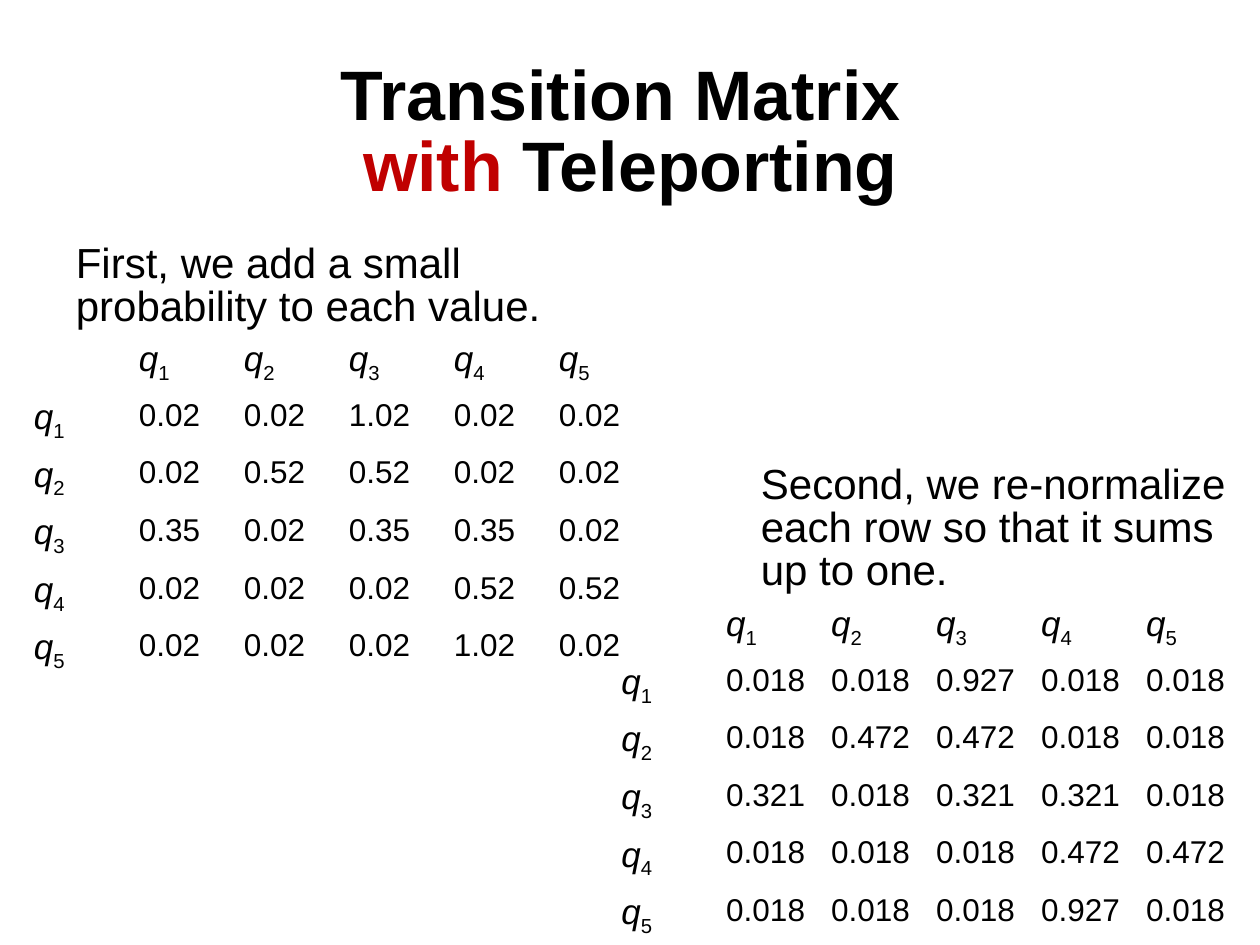
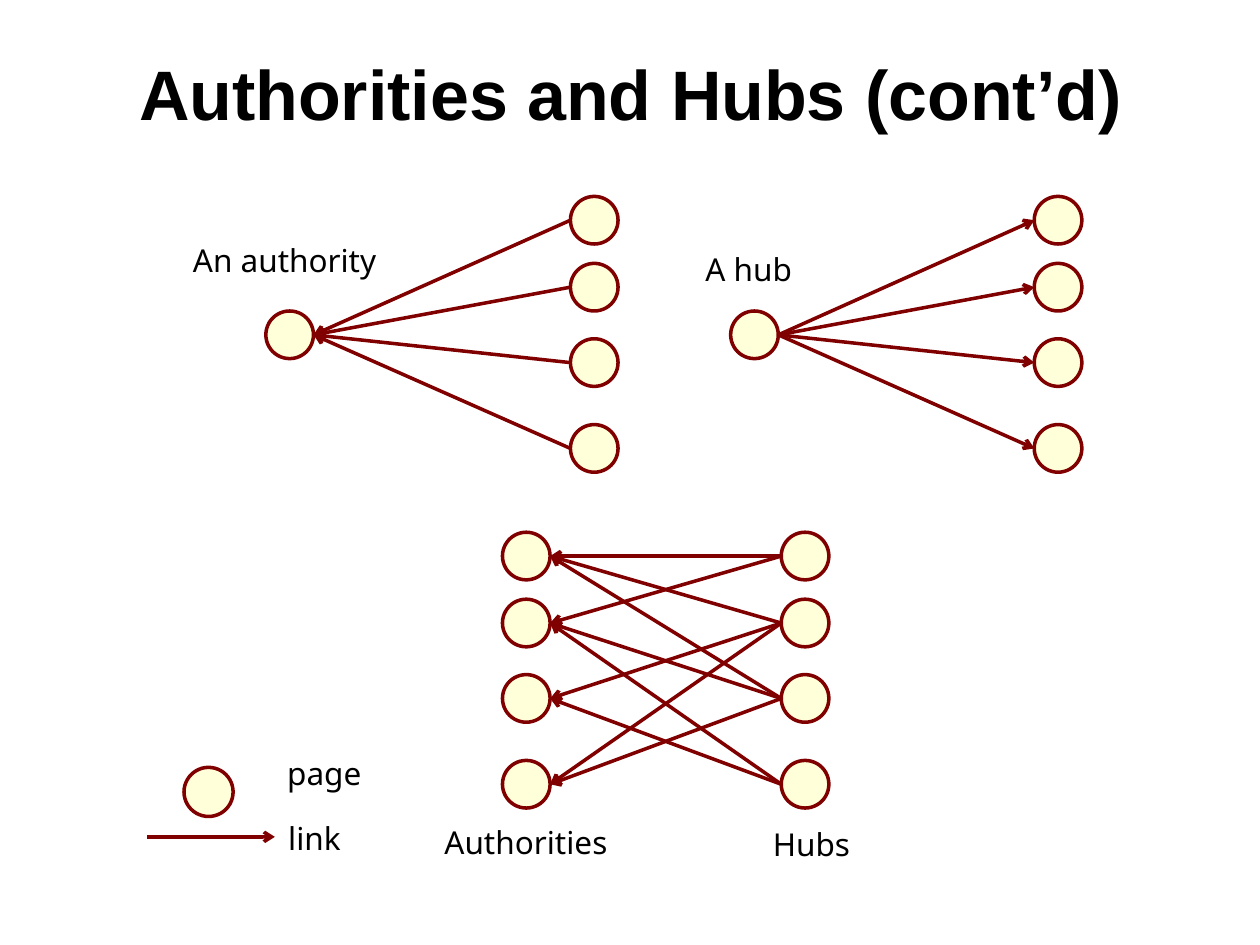
import pptx
import pptx.dml.color
import pptx.enum.shapes
import pptx.enum.text
import pptx.oxml.ns
import pptx.util
from lxml import etree

Cm = pptx.util.Cm
Pt = pptx.util.Pt
RGBColor = pptx.dml.color.RGBColor

BLACK = RGBColor(0x00, 0x00, 0x00)
RED = RGBColor(0xC0, 0x00, 0x00)
MAROON = RGBColor(0x80, 0x00, 0x00)
CREAM = RGBColor(0xFF, 0xFF, 0xD9)

TITLE = {"name": "Arial", "size": Pt(40), "bold": True}
NOTE = {"name": "Arial", "size": Pt(24)}
LABEL = {"name": "Noto Sans", "size": Pt(18)}
VALUE = {"name": "Arial", "size": Pt(18)}
STATE = {"name": "Arial", "size": Pt(20), "italic": True}
INDEX = {"name": "Arial", "size": Pt(20), "italic": False}
TIGHT = {"line_spacing": 0.85}
CENTRE = {"line_spacing": 0.85, "alignment": pptx.enum.text.PP_ALIGN.CENTER}
INSETS = ("margin_left", "margin_top", "margin_right", "margin_bottom")
PLAIN = "{2D5ABB26-0587-4C30-8999-92F81FD0307C}"

SIZE = 0.96
TOPS = (3.96, 5.31, 6.83, 8.56)
SOLO = 6.27
DROP = 6.77
LINKS = ((0, 1), (0, 2, 3), (0, 1, 3), (1, 2))

RAISED = (
    "0.02 0.02 1.02 0.02 0.02",
    "0.02 0.52 0.52 0.02 0.02",
    "0.35 0.02 0.35 0.35 0.02",
    "0.02 0.02 0.02 0.52 0.52",
    "0.02 0.02 0.02 1.02 0.02",
)
SCALED = (
    "0.018 0.018 0.927 0.018 0.018",
    "0.018 0.472 0.472 0.018 0.018",
    "0.321 0.018 0.321 0.321 0.018",
    "0.018 0.018 0.018 0.472 0.472",
    "0.018 0.018 0.018 0.927 0.018",
)


def style(item, form):
    """Set each attribute named in form on item."""
    for key, value in form.items():
        setattr(item, key, value)


def write(para, text, form, color=BLACK):
    """Add a formatted run to para and return it."""
    run = para.add_run()
    run.text = text
    style(run.font, form)
    run.font.color.rgb = color
    return run


def add_box(slide, left, top, width, height):
    """Add a wrapping text box and return its frame."""
    box = slide.shapes.add_textbox(Cm(left), Cm(top), Cm(width), Cm(height))
    box.text_frame.word_wrap = True
    return box.text_frame


def add_text(slide, place, layout):
    """Add a text box without insets and return its paragraph."""
    frame = add_box(slide, *place)
    style(frame, dict.fromkeys(INSETS, 0))
    para = frame.paragraphs[0]
    style(para, layout)
    return para


def add_title(slide, *lines):
    """Add the title; each line is a list of (text, color) parts."""
    para = add_text(slide, (1.32, 1.27, 22.78, 2.74), CENTRE)
    for number, line in enumerate(lines):
        if number:
            para.add_line_break()
        for text, color in line:
            write(para, text, TITLE, color)


def add_note(slide, text, *place):
    """Add a tightly set explanation."""
    write(add_text(slide, place, TIGHT), text, NOTE)


def add_label(slide, text, left, top, width):
    """Add a diagram label."""
    write(add_box(slide, left, top, width, 1).paragraphs[0], text, LABEL)


def name_state(cell, number):
    """Write a state name with its subscript into a cell."""
    para = cell.text_frame.paragraphs[0]
    write(para, "q", STATE)
    run = write(para, str(number), INDEX)
    run._r.get_or_add_rPr().set("baseline", "-25000")


def add_matrix(slide, rows, left, top):
    """Add a transition matrix with state names on both sides."""
    count = len(rows) + 1
    frame = slide.shapes.add_table(
        count, count, Cm(left), Cm(top), Cm(12.7), Cm(1.04 * count))
    table = frame.table
    style(table, {"first_row": False, "horz_banding": False})
    table._tbl.tblPr.find(pptx.oxml.ns.qn("a:tableStyleId")).text = PLAIN
    for cell in table.iter_cells():
        cell.fill.background()
        cell.margin_bottom = Cm(0.07)
    for number, row in enumerate(rows, 1):
        name_state(table.cell(0, number), number)
        name_state(table.cell(number, 0), number)
        for column, value in enumerate(row.split(), 1):
            para = table.cell(number, column).text_frame.paragraphs[0]
            write(para, value, VALUE)


def add_page(slide, left, top, size=SIZE):
    """Add a circle that stands for a page."""
    shape = slide.shapes.add_shape(
        pptx.enum.shapes.MSO_SHAPE.OVAL, Cm(left), Cm(top), Cm(size), Cm(size))
    shape.shadow.inherit = False
    shape.fill.solid()
    shape.fill.fore_color.rgb = CREAM
    shape.line.color.rgb = MAROON
    shape.line.width = Pt(2)


def add_link(slide, *ends):
    """Add an arrow between two points given as x, y, x, y."""
    link = slide.shapes.add_connector(
        pptx.enum.shapes.MSO_CONNECTOR.STRAIGHT, *map(Cm, ends))
    link.line.color.rgb = MAROON
    link.line.width = Pt(2)
    qn = pptx.oxml.ns.qn
    etree.SubElement(link.line._get_or_add_ln(), qn("a:tailEnd"), type="arrow")
    etree.SubElement(link._element.spPr, qn("a:effectLst"))


def add_fan(slide, left, right, inward):
    """Add one page linked with a column of four pages."""
    half = SIZE / 2
    hub = (left + SIZE, SOLO + half)
    add_page(slide, left, SOLO)
    for top in TOPS:
        add_page(slide, right, top)
        far = (right, top + half)
        add_link(slide, *(far + hub if inward else hub + far))


def add_graph(slide, left, right):
    """Add the hubs on the right linking to authorities on the left."""
    tops = [top + DROP for top in TOPS]
    half = SIZE / 2
    for top, goals in zip(tops, LINKS):
        add_page(slide, left, top)
        add_page(slide, right, top)
        for goal in goals:
            add_link(slide, right, top + half, left + SIZE, tops[goal] + half)


def draw_matrix(slide):
    """Fill the slide on teleporting."""
    add_title(slide, [("Transition Matrix ", BLACK)],
              [("with ", RED), ("Teleporting", BLACK)])
    add_note(slide, "First, we add a small probability to each value.",
             1.53, 4.93, 10.49, 2.34)
    add_matrix(slide, RAISED, 0.43, 6.73)
    add_matrix(slide, SCALED, 12.27, 12.07)
    add_note(slide, "Second, we re-normalize each row so that it sums up to one.",
             15.34, 9.38, 9.63, 2.69)


def draw_hubs(slide):
    """Fill the slide on authorities and hubs."""
    add_title(slide, [("Authorities and Hubs (cont’d)", BLACK)])
    add_fan(slide, 5.36, 11.5, True)
    add_fan(slide, 14.73, 20.85, False)
    add_graph(slide, 10.13, 15.75)
    add_page(slide, 3.71, 15.47, 0.99)
    add_link(slide, 2.97, 16.87, 5.54, 16.87)
    for label in (
        ("An authority", 3.64, 4.73, 4.6),
        ("A hub", 13.97, 4.92, 2.59),
        ("page", 5.54, 15.08, 2.59),
        ("link", 5.56, 16.38, 1.78),
        ("Authorities", 8.71, 16.46, 3.96),
        ("Hubs", 15.33, 16.51, 2.13),
    ):
        add_label(slide, *label)


def main():
    """Build and save both slides."""
    deck = pptx.Presentation()
    style(deck, {"slide_width": Cm(25.4), "slide_height": Cm(19.05)})
    for draw in (draw_matrix, draw_hubs):
        draw(deck.slides.add_slide(deck.slide_layouts[6]))
    deck.save("out.pptx")


if __name__ == "__main__":
    main()
